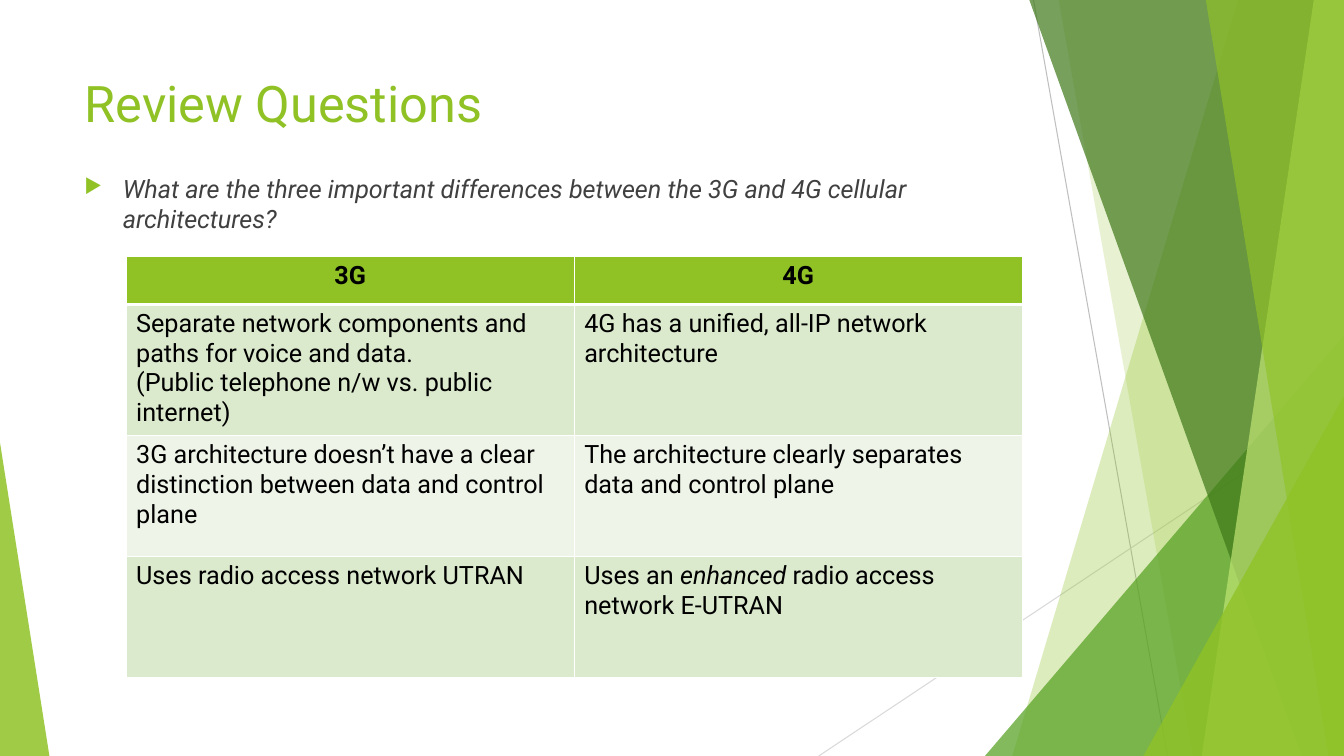
"""Build the "Review Questions" slide comparing 3G and 4G architectures."""
from dataclasses import dataclass

from lxml import etree
from pptx import Presentation
from pptx import util as u
from pptx.dml.color import RGBColor
from pptx.enum import shapes, text
from pptx.oxml import parse_xml
from pptx.oxml.ns import nsdecls, qn

LIME = RGBColor(0x90, 0xC2, 0x26)
GREEN = RGBColor(0x54, 0xA0, 0x21)
FOREST = RGBColor(0x3F, 0x78, 0x19)
PALE_LIME = RGBColor(0xC0, 0xE4, 0x74)
ROW_DARK = RGBColor(0xDB, 0xE9, 0xCD)
ROW_LIGHT = RGBColor(0xEE, 0xF4, 0xE8)
GREY = RGBColor(0xBF, 0xBF, 0xBF)
LIGHT_GREY = RGBColor(0xD9, 0xD9, 0xD9)
CHARCOAL = RGBColor(0x40, 0x40, 0x40)
BLACK = RGBColor(0, 0, 0)
WHITE = RGBColor(0xFF, 0xFF, 0xFF)
FONT = "Roboto"
WIDTH, HEIGHT = u.Inches(13.333), u.Inches(7.5)


@dataclass(frozen=True)
class Ray:
    """A thin line between two points, in percent of the slide."""
    start: tuple[float, float]
    end: tuple[float, float]
    color: RGBColor


@dataclass(frozen=True)
class Band:
    """A full-height area from a slanted left side to the right edge."""
    top_x: float
    bottom_x: float
    color: RGBColor
    opacity: int


@dataclass(frozen=True)
class Wedge:
    """A triangle standing on the bottom edge; apex 0 is left, 1 is right."""
    left: float
    top: float
    width: float
    apex: int
    color: RGBColor
    opacity: int


@dataclass(frozen=True)
class Span:
    """A piece of text with one style."""
    words: str
    italic: bool = False
    bold: bool = False


Cell = list[list[Span]]

RAYS = [
    Ray((76.9, 0), (86.87, 100), GREY),
    Ray((100, 53.73), (60.92, 100), LIGHT_GREY),
]
FACETS: list[Band | Wedge] = [
    Band(92.12, 75.32, LIME, 30),
    Band(78.77, 88.75, LIME, 20),
    Wedge(73.29, 44.4, 26.71, 1, GREEN, 72),
    Band(76.59, 96.85, FOREST, 70),
    Band(97.75, 89.42, PALE_LIME, 70),
    Band(89.72, 98.87, LIME, 65),
    Wedge(85.07, 52.4, 14.93, 1, LIME, 80),
    Wedge(0, 58.53, 3.68, 0, LIME, 85),
]
ROWS: list[list[Cell]] = [
    [[[Span("3G", bold=True)]], [[Span("4G", bold=True)]]],
    [[[Span("Separate network components and paths for voice and data.")],
      [Span("(Public telephone n/w vs. public internet)")]],
     [[Span("4G has a unified, all-IP network architecture")]]],
    [[[Span("3G architecture doesn’t have a clear distinction between data and control plane")]],
     [[Span("The architecture clearly separates data and control plane")]]],
    [[[Span("Uses radio access network UTRAN")]],
     [[Span("Uses an "), Span("enhanced ", italic=True), Span("radio access network E-UTRAN")]]],
]


def across(share: float) -> int:
    """Turn a percentage of the slide's width into a length."""
    return round(WIDTH * share / 100)


def down(share: float) -> int:
    """Turn a percentage of the slide's height into a length."""
    return round(HEIGHT * share / 100)


def add_span(para, span: Span, size: int, color: RGBColor) -> None:
    """Add one styled run to a paragraph."""
    run = para.add_run()
    run.text = span.words
    font = run.font
    font.name, font.size, font.color.rgb = FONT, u.Pt(size), color
    font.italic, font.bold = span.italic, span.bold


def draw_ray(page, ray: Ray) -> None:
    """Draw a thin decorative line."""
    line = page.shapes.add_connector(
        shapes.MSO_CONNECTOR.STRAIGHT, across(ray.start[0]), down(ray.start[1]),
        across(ray.end[0]), down(ray.end[1]))
    line.line.color.rgb = ray.color
    line.line.width = u.Pt(0.75)
    etree.SubElement(line._element.spPr, qn("a:effectLst"))


def draw_facet(page, facet: Band | Wedge) -> None:
    """Draw a translucent band or wedge."""
    if isinstance(facet, Band):
        outline = page.shapes.build_freeform(across(facet.top_x), 0)
        outline.add_line_segments(
            [(WIDTH, 0), (WIDTH, HEIGHT), (across(facet.bottom_x), HEIGHT)], close=True)
        shape = outline.convert_to_shape()
    else:
        shape = page.shapes.add_shape(
            shapes.MSO_SHAPE.ISOSCELES_TRIANGLE, across(facet.left), down(facet.top),
            across(facet.width), down(100 - facet.top))
        shape.adjustments[0] = facet.apex
    shape.shadow.inherit = False
    shape.line.fill.background()
    shape.fill.solid()
    shape.fill.fore_color.rgb = facet.color
    color = shape._element.spPr.find(qn("a:solidFill"))[0]
    etree.SubElement(color, qn("a:alpha"), val=str(facet.opacity * 1000))


def write_title(page) -> None:
    """Place and fill the title placeholder."""
    title = page.shapes.title
    title.left, title.top = across(5.55), down(8.93)
    title.width, title.height = across(70.52), down(19.2)
    frame = title.text_frame
    frame.vertical_anchor = text.MSO_ANCHOR.TOP
    para = frame.paragraphs[0]
    para.alignment = text.PP_ALIGN.LEFT
    add_span(para, Span("Review Questions"), 36, LIME)


def write_question(page) -> None:
    """Add the bulleted question."""
    box = page.shapes.add_textbox(across(5.55), down(22.27), across(70.52), down(65.87))
    box.text_frame.word_wrap = True
    para = box.text_frame.paragraphs[0]
    para.space_before = u.Pt(10)
    add_span(para, Span("What are the three important differences between the 3G and 4G "
                        "cellular architectures?", italic=True), 18, CHARCOAL)
    props = para._p.get_or_add_pPr()
    props.set("marL", str(u.Inches(0.38)))
    props.set("indent", str(-u.Inches(0.38)))
    color = etree.SubElement(props, qn("a:buClr"))
    etree.SubElement(color, qn("a:srgbClr"), val=str(LIME))
    etree.SubElement(props, qn("a:buSzPct"), val="80000")
    etree.SubElement(props, qn("a:buChar"), char="▶")


def add_border(cell, side: str, points: int) -> None:
    """Give one side of a cell a white border."""
    cell._tc.get_or_add_tcPr().append(parse_xml(
        f'<a:ln{side} {nsdecls("a")} w="{u.Pt(points)}"><a:solidFill>'
        f'<a:srgbClr val="{WHITE}"/></a:solidFill></a:ln{side}>'))


def fill_cell(cell, content: Cell, row: int) -> None:
    """Write and format one table cell."""
    for index, spans in enumerate(content):
        frame = cell.text_frame
        para = frame.add_paragraph() if index else frame.paragraphs[0]
        para.alignment = text.PP_ALIGN.LEFT if row else text.PP_ALIGN.CENTER
        for span in spans:
            add_span(para, span, 18, BLACK)
    for side in "LRTB":
        under_header = (row, side) in ((0, "B"), (1, "T"))
        add_border(cell, side, 3 if under_header else 1)
    cell.fill.solid()
    cell.fill.fore_color.rgb = (ROW_DARK if row % 2 else ROW_LIGHT) if row else LIME


def draw_table(page) -> None:
    """Add the comparison table."""
    heights = [down(6.4)] + [down(16)] * (len(ROWS) - 1)
    table = page.shapes.add_table(len(ROWS), len(ROWS[0]), across(9.38), down(33.87),
                                  across(66.69), sum(heights)).table
    for row, contents in enumerate(ROWS):
        table.rows[row].height = heights[row]
        for column, content in enumerate(contents):
            fill_cell(table.cell(row, column), content, row)


def main() -> None:
    """Build and save the deck."""
    deck = Presentation()
    deck.slide_width, deck.slide_height = WIDTH, HEIGHT
    page = deck.slides.add_slide(deck.slide_layouts[5])
    for ray in RAYS:
        draw_ray(page, ray)
    for facet in FACETS:
        draw_facet(page, facet)
    write_title(page)
    write_question(page)
    draw_table(page)
    deck.save("out.pptx")


if __name__ == "__main__":
    main()
